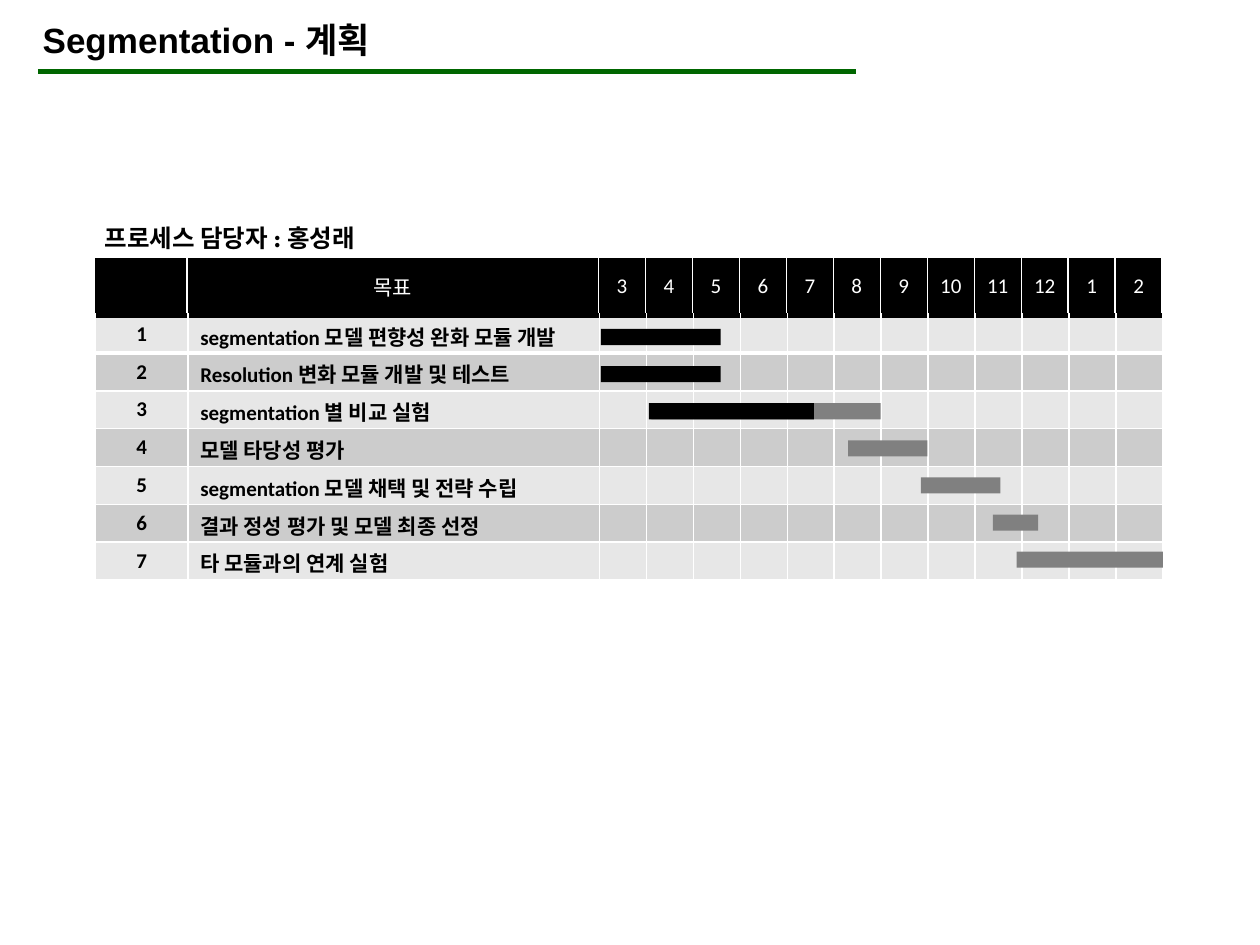
"""Build the segmentation plan slide with its twelve-month Gantt table."""
from dataclasses import dataclass

import lxml.etree
import pptx
import pptx.dml.color
import pptx.enum.shapes
import pptx.enum.text
import pptx.oxml.ns
import pptx.util

Pt = pptx.util.Pt
ALIGN = pptx.enum.text.PP_ALIGN


@dataclass(frozen=True)
class Theme:
    black: str = "000000"
    white: str = "FFFFFF"
    green: str = "006600"
    gray: str = "808080"
    bands: tuple[str, str] = ("E7E7E7", "CCCCCC")
    title_font: str = "Arial"
    table_font: str = "Calibri"
    owner_font: str = "League Spartan"
    title_size: float = 20
    owner_size: float = 14
    table_size: float = 12
    thin: float = 1
    thick: float = 3


@dataclass(frozen=True)
class Bar:
    task: int
    left: float
    width: float
    color: str


@dataclass(frozen=True)
class Border:
    color: str
    width: float


THEME = Theme()
COLUMNS = [52.8, 235.2] + [26.85] * 12
MONTHS = [str(month) for month in (*range(3, 13), 1, 2)]
TASKS = [
    "segmentation 모델 편향성 완화 모듈 개발",
    "Resolution 변화 모듈 개발 및 테스트",
    "segmentation 별 비교 실험",
    "모델 타당성 평가",
    "segmentation 모델 채택 및 전략 수립",
    "결과 정성 평가 및 모델 최종 선정",
    "타 모듈과의 연계 실험",
]
BARS = [
    Bar(0, 343.4, 68.4, THEME.black),
    Bar(1, 343.4, 68.4, THEME.black),
    Bar(2, 372.2, 131, THEME.gray),
    Bar(2, 370.8, 94.3, THEME.black),
    Bar(3, 484.6, 45.4, THEME.gray),
    Bar(4, 526.3, 45.4, THEME.gray),
    Bar(5, 567.4, 25.9, THEME.gray),
    Bar(6, 581, 83.5, THEME.gray),
]
BAR_TOP, BAR_STEP, BAR_HEIGHT = 188, 21.2, 9.2
HEADER_HEIGHT, TASK_HEIGHT = 33.8, 21.6
THIN_WHITE = Border(THEME.white, THEME.thin)
THICK_WHITE = Border(THEME.white, THEME.thick)
THICK_BLACK = Border(THEME.black, THEME.thick)


def rgb(color: str) -> pptx.dml.color.RGBColor:
    return pptx.dml.color.RGBColor.from_string(color)


def format_runs(paragraph, font: str, size: float, color: str, bold: bool) -> None:
    for run in paragraph.runs:
        run.font.name = font
        run.font.size = Pt(size)
        run.font.bold = bold
        run.font.color.rgb = rgb(color)


def add_text(slide, text: str, box: tuple, font: str, size: float) -> None:
    shape = slide.shapes.add_textbox(*map(Pt, box))
    shape.text_frame.word_wrap = True
    shape.text_frame.text = text
    format_runs(shape.text_frame.paragraphs[0], font, size, THEME.black, True)


def set_borders(cell, top: Border, bottom: Border) -> None:
    properties = cell._tc.get_or_add_tcPr()
    sides = {"lnL": THIN_WHITE, "lnR": THIN_WHITE, "lnT": top, "lnB": bottom}
    for index, (tag, border) in enumerate(sides.items()):
        line = lxml.etree.Element(pptx.oxml.ns.qn(f"a:{tag}"), w=str(Pt(border.width)))
        fill = lxml.etree.SubElement(line, pptx.oxml.ns.qn("a:solidFill"))
        lxml.etree.SubElement(fill, pptx.oxml.ns.qn("a:srgbClr"), val=border.color)
        properties.insert(index, line)


def fill_cell(cell, text: str, fill: str, color: str, bold: bool, align) -> None:
    cell.fill.solid()
    cell.fill.fore_color.rgb = rgb(fill)
    cell.vertical_anchor = pptx.enum.text.MSO_ANCHOR.MIDDLE
    cell.margin_top = cell.margin_bottom = Pt(0)
    paragraph = cell.text_frame.paragraphs[0]
    if text:
        paragraph.text = text
        paragraph.alignment = align
        format_runs(paragraph, THEME.table_font, THEME.table_size, color, bold)
    else:
        paragraph._p.get_or_add_endParaRPr().set("sz", str(int(THEME.table_size * 100)))
    if align == ALIGN.CENTER:
        cell.margin_left = cell.margin_right = Pt(2)


def add_grid(slide, left: float, top: float, row_count: int, row_height: float):
    frame = slide.shapes.add_table(
        row_count, len(COLUMNS), Pt(left), Pt(top), Pt(sum(COLUMNS)), Pt(row_count * row_height))
    table = frame.table
    table.first_row = table.horz_banding = False
    for column, width in zip(table.columns, COLUMNS):
        column.width = Pt(width)
    for row in table.rows:
        row.height = Pt(row_height)
    return table


def add_header(slide) -> None:
    table = add_grid(slide, 54, 146.9, 1, HEADER_HEIGHT)
    for cell, text in zip(table.rows[0].cells, ["", "목표", *MONTHS]):
        fill_cell(cell, text, THEME.black, THEME.white, False, ALIGN.CENTER)
        set_borders(cell, THIN_WHITE, THICK_WHITE)


def add_tasks(slide) -> None:
    table = add_grid(slide, 54.5, 180.2, len(TASKS), TASK_HEIGHT)
    for index, task in enumerate(TASKS):
        texts = [str(index + 1), task] + [""] * len(MONTHS)
        for column, text in enumerate(texts):
            cell = table.cell(index, column)
            align = ALIGN.LEFT if column == 1 else ALIGN.CENTER
            fill_cell(cell, text, THEME.bands[index % 2], THEME.black, True, align)
            if column == 1:
                cell.margin_top = Pt(2)
            top = THICK_BLACK if index == 0 else THICK_WHITE if index == 1 else THIN_WHITE
            set_borders(cell, top, THICK_WHITE if index == 0 else THIN_WHITE)


def add_bar(slide, bar: Bar) -> None:
    shape = slide.shapes.add_shape(
        pptx.enum.shapes.MSO_SHAPE.RECTANGLE, Pt(bar.left),
        Pt(BAR_TOP + bar.task * BAR_STEP), Pt(bar.width), Pt(BAR_HEIGHT))
    shape.shadow.inherit = False
    shape.fill.solid()
    shape.fill.fore_color.rgb = rgb(bar.color)
    shape.line.fill.background()


def add_title_rule(slide) -> None:
    rule = slide.shapes.add_connector(
        pptx.enum.shapes.MSO_CONNECTOR.STRAIGHT, Pt(21.6), Pt(41), Pt(488.9), Pt(41))
    rule.line.color.rgb = rgb(THEME.green)
    rule.line.width = Pt(THEME.thick)
    lxml.etree.SubElement(rule._element.spPr, pptx.oxml.ns.qn("a:effectLst"))


def main() -> None:
    presentation = pptx.Presentation()
    presentation.slide_width, presentation.slide_height = Pt(720), Pt(540)
    slide = presentation.slides.add_slide(presentation.slide_layouts[6])
    add_title_rule(slide)
    add_text(slide, "Segmentation - 계획", (17.3, 7.2, 579.6, 31.7),
             THEME.title_font, THEME.title_size)
    add_header(slide)
    add_tasks(slide)
    for bar in BARS:
        add_bar(slide, bar)
    add_text(slide, "프로세스 담당자 : 홍성래", (52.6, 123.8, 317.5, 24.5),
             THEME.owner_font, THEME.owner_size)
    presentation.save("out.pptx")


if __name__ == "__main__":
    main()
